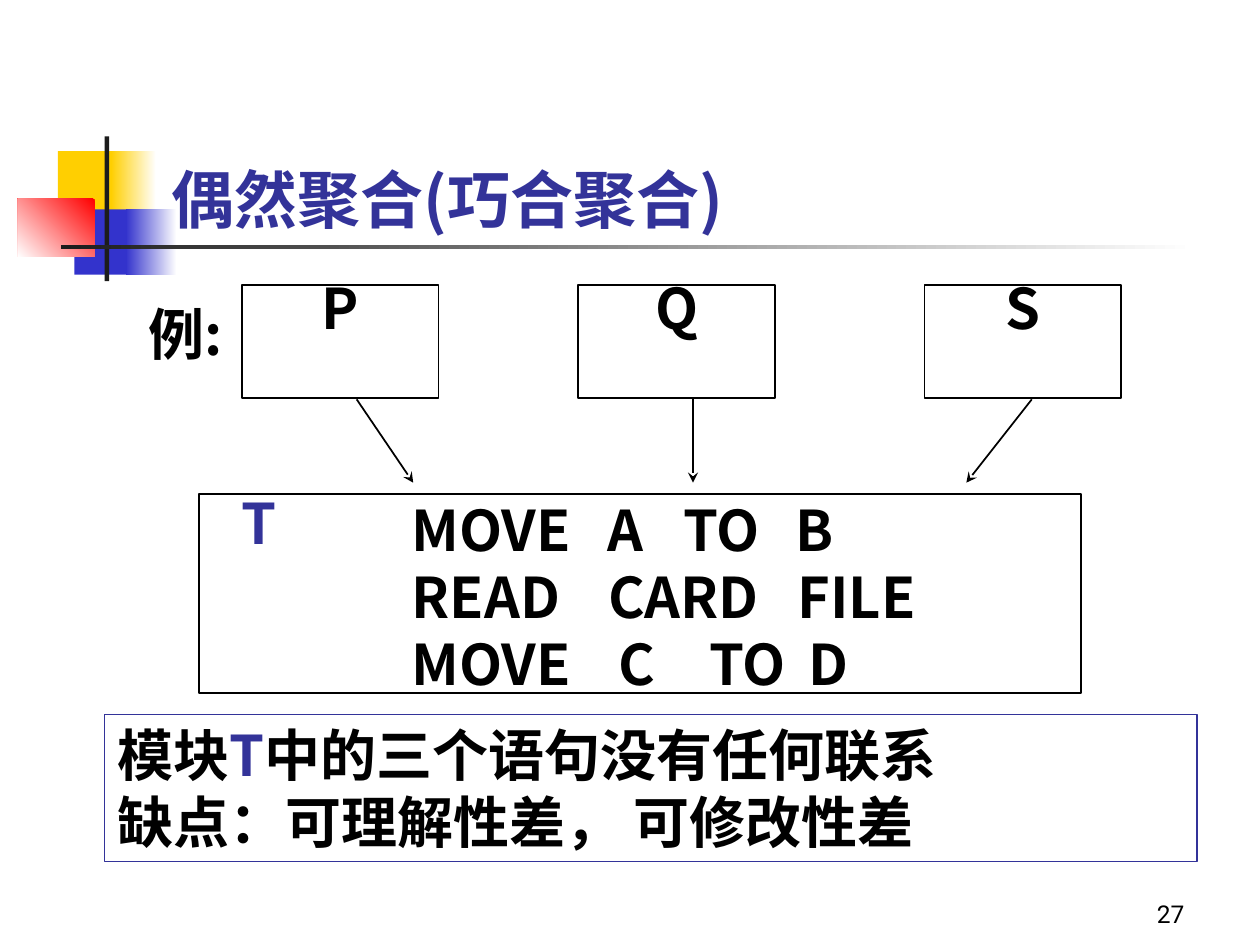
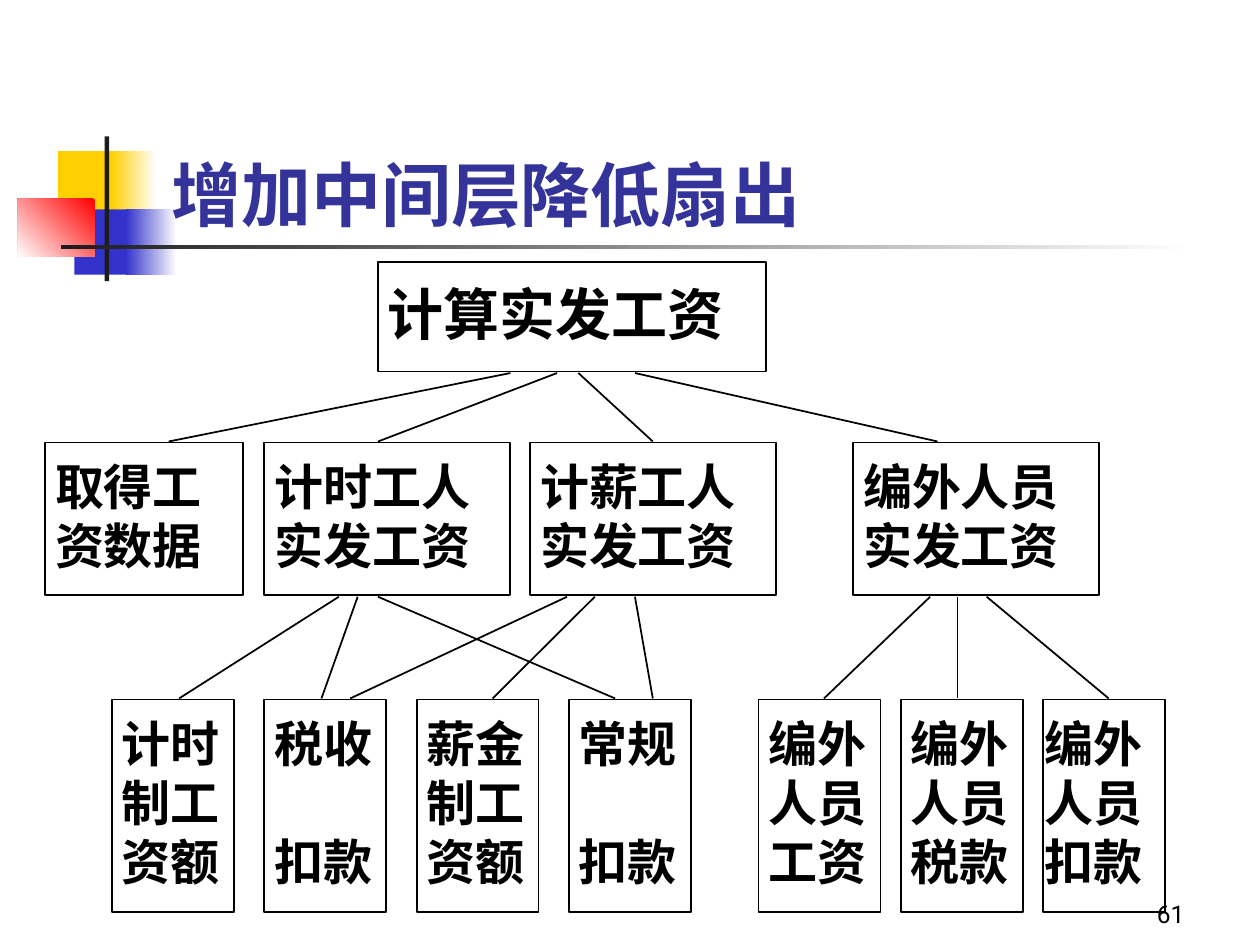
"""Build two slides on module cohesion and fan-out."""
import lxml.etree
import pptx
import pptx.dml.color
import pptx.enum.shapes
import pptx.enum.text
import pptx.oxml.ns
import pptx.util

Cm, Pt = pptx.util.Cm, pptx.util.Pt
qn = pptx.oxml.ns.qn
ALIGN = pptx.enum.text.PP_ALIGN
ANCHOR = pptx.enum.text.MSO_ANCHOR

FONT, NUMBER_FONT = "Noto Sans CJK SC", "Roboto"
BLACK, WHITE, ACCENT = "000000", "FFFFFF", "333399"
YELLOW, BLUE, RED, DARK = "FFCF01", "3333CC", "FF0000", "1C1C1C"
LINE_HEIGHT = 1.2


def rgb(color):
    return pptx.dml.color.RGBColor.from_string(color)


def format_run(r, size, color, font, bold):
    r.font.size = Pt(size)
    r.font.bold = bold
    r.font.color.rgb = rgb(color)
    r.font.name = font
    ea = lxml.etree.SubElement(r.font.fill._xPr, qn("a:ea"))
    ea.set("typeface", font)


def write(tf, lines, size, color=BLACK, font=FONT, bold=True,
          align=ALIGN.LEFT, anchor=ANCHOR.TOP):
    """Write one paragraph per line; parts between bars take the accent colour."""
    tf.word_wrap = True
    tf.auto_size = pptx.enum.text.MSO_AUTO_SIZE.NONE
    tf.vertical_anchor = anchor
    for i, line in enumerate(lines):
        p = tf.paragraphs[0] if i == 0 else tf.add_paragraph()
        first, *others = line.split("|")
        p.text = first
        for part in others:
            p.add_run().text = part
        p.alignment = align
        p.line_spacing = Pt(size * LINE_HEIGHT)
        for k, r in enumerate(p.runs):
            format_run(r, size, ACCENT if k % 2 else color, font, bold)


def add_text(s, lines, x, y, w, h, size, **style):
    tb = s.shapes.add_textbox(Cm(x), Cm(y), Cm(w), Cm(h))
    write(tb.text_frame, lines, size, **style)
    return tb.text_frame


def add_rect(s, x, y, w, h, fill=None, line=None, width=1):
    sp = s.shapes.add_shape(pptx.enum.shapes.MSO_SHAPE.RECTANGLE,
                            Cm(x), Cm(y), Cm(w), Cm(h))
    sp.shadow.inherit = False
    if fill:
        sp.fill.solid()
        sp.fill.fore_color.rgb = rgb(fill)
    else:
        sp.fill.background()
    if line:
        sp.line.color.rgb = rgb(line)
        sp.line.width = Pt(width)
    else:
        sp.line.fill.background()
    return sp


def add_gradient(s, x, y, w, h, start, end, angle=180):
    sp = add_rect(s, x, y, w, h)
    sp.fill.gradient()
    sp.fill.gradient_angle = angle
    for stop, color in zip(sp.fill.gradient_stops, (start, end)):
        stop.color.rgb = rgb(color)
    return sp


def add_line(s, x1, y1, x2, y2, arrow=False):
    cx = s.shapes.add_connector(pptx.enum.shapes.MSO_CONNECTOR.STRAIGHT,
                                Cm(x1), Cm(y1), Cm(x2), Cm(y2))
    cx.line.color.rgb = rgb(BLACK)
    cx.line.width = Pt(1)
    if arrow:
        tail = lxml.etree.SubElement(cx.line._get_or_add_ln(), qn("a:tailEnd"))
        tail.set("type", "stealth")
    lxml.etree.SubElement(cx.element.spPr, qn("a:effectLst"))


def add_lines(s, y1, y2, ends, arrow=False):
    for x1, x2 in ends:
        add_line(s, x1, y1, x2, y2, arrow)


def add_tabs(p, stops):
    tabs = lxml.etree.SubElement(p._p.get_or_add_pPr(), qn("a:tabLst"))
    for stop in stops:
        tab = lxml.etree.SubElement(tabs, qn("a:tab"))
        tab.set("pos", str(Cm(stop)))
        tab.set("algn", "l")


def add_node(s, lines, x, y, w, h, size=28, dx=-0.05, dy=0.16):
    add_rect(s, x, y, w, h, line=BLACK)
    return add_text(s, lines, x + dx, y + dy, w + 0.3, h - 0.45, size)


def decorate(layout, s):
    """Draw the shared ornament and move it to the layout."""
    ornament = [
        add_rect(s, 1.17, 3.05, 1.22, 1.32, YELLOW),
        add_gradient(s, 2.24, 3.05, 0.91, 1.32, WHITE, YELLOW),
        add_rect(s, 1.5, 4.22, 1.17, 1.32, BLUE),
        add_gradient(s, 2.54, 4.22, 1.02, 1.32, WHITE, BLUE),
        add_gradient(s, 0.36, 4.01, 1.55, 1.17, RED, WHITE, 225),
        add_rect(s, 2.11, 2.75, 0.09, 2.92, DARK),
        add_gradient(s, 1.23, 4.94, 22.86, 0.09, WHITE, DARK),
    ]
    for sp in ornament:
        layout.element.cSld.spTree.append(sp.element)


def add_slide(prs, title, size, number):
    s = prs.slides.add_slide(prs.slide_layouts[5])
    sp = s.shapes.title
    sp.left, sp.top, sp.width, sp.height = Cm(3.2), Cm(1.7), Cm(21.64), Cm(3.18)
    write(sp.text_frame, [title], size, ACCENT, anchor=ANCHOR.BOTTOM)
    add_text(s, [number], 18.85, 17.58, 5.28, 1.27, 14, font=NUMBER_FONT,
             bold=False, align=ALIGN.RIGHT, anchor=ANCHOR.BOTTOM)
    return s


def build_cohesion(prs):
    s = add_slide(prs, "偶然聚合(巧合聚合)", 36, "27")
    for name, x in (("P", 4.88), ("Q", 11.66), ("S", 18.64)):
        add_rect(s, x, 5.74, 3.96, 2.29, WHITE, BLACK)
        add_text(s, [name], x, 5.38, 3.96, 1.6, 32, align=ALIGN.CENTER)
    add_rect(s, 4.01, 9.96, 17.78, 4.01, WHITE, BLACK)
    add_lines(s, 8.05, 9.73, [(7.19, 8.33), (13.97, 13.97), (20.8, 19.48)], True)
    add_text(s, ["T"], 4.62, 9.73, 1.5, 1.6, 32, color=ACCENT)
    code = ["MOVE\tA\tTO\tB", "READ\tCARD\tFILE", "MOVE\tC\tTO\tD"]
    stops = [(3.95, 5.48, 7.74), (3.96, 7.78), (4.16, 6, 8)]
    tf = add_text(s, code, 8.05, 9.86, 13.89, 4.32, 32)
    for p, line_stops in zip(tf.paragraphs, stops):
        add_tabs(p, line_stops)
    note = add_rect(s, 2.11, 14.4, 22.02, 2.97, line=ACCENT, width=0.75)
    write(note.text_frame, ["模块|T|中的三个语句没有任何联系",
                            "缺点：可理解性差， 可修改性差"], 32)
    add_text(s, ["例:"], 2.74, 5.92, 2.84, 1.6, 32)
    return s


def build_fan_out(prs):
    s = add_slide(prs, "增加中间层降低扇出", 40, "61")
    add_node(s, ["计算实发工资"], 7.62, 5.28, 7.82, 2.21, 32, dy=0.23)
    for text, x, w in (("取得工资数据", 0.91, 3.99),
                       ("计时工人实发工资", 5.33, 4.95),
                       ("计薪工人实发工资", 10.69, 4.95),
                       ("编外人员实发工资", 17.2, 4.95)):
        add_node(s, [text], x, 8.92, w, 3.07)
    staff = ["计时 制工 资额", "税收 扣款", "薪金 制工 资额", "常规 扣款"]
    extra = ["编外 人员 工资", "编外 人员 税款", "编外 人员 扣款"]
    for group, left, pitch in ((staff, 2.26, 3.07), (extra, 15.29, 2.87)):
        for i, text in enumerate(group):
            lines = text.split()
            dx = -0.23 if text == extra[-1] else -0.05
            tf = add_node(s, lines, left + i * pitch, 14.1, 2.46, 4.29, dx=dx)
            if len(lines) == 2:
                tf.paragraphs[1].space_before = Pt(28 * LINE_HEIGHT)
    add_lines(s, 7.52, 8.9, [(10.29, 3.4), (11.23, 7.62), (11.66, 13.16),
                             (12.8, 18.9)])
    add_lines(s, 12.03, 14.08, [(6.83, 3.61), (7.21, 6.48), (7.62, 12.4),
                                (11.43, 7.06), (11.99, 9.93), (12.8, 13.16),
                                (18.75, 16.61), (19.3, 19.3), (19.89, 22.35)])


def main():
    prs = pptx.Presentation()
    prs.slide_width, prs.slide_height = Cm(25.4), Cm(19.05)
    s = build_cohesion(prs)
    decorate(s.slide_layout, s)
    build_fan_out(prs)
    prs.save("out.pptx")


if __name__ == "__main__":
    main()
